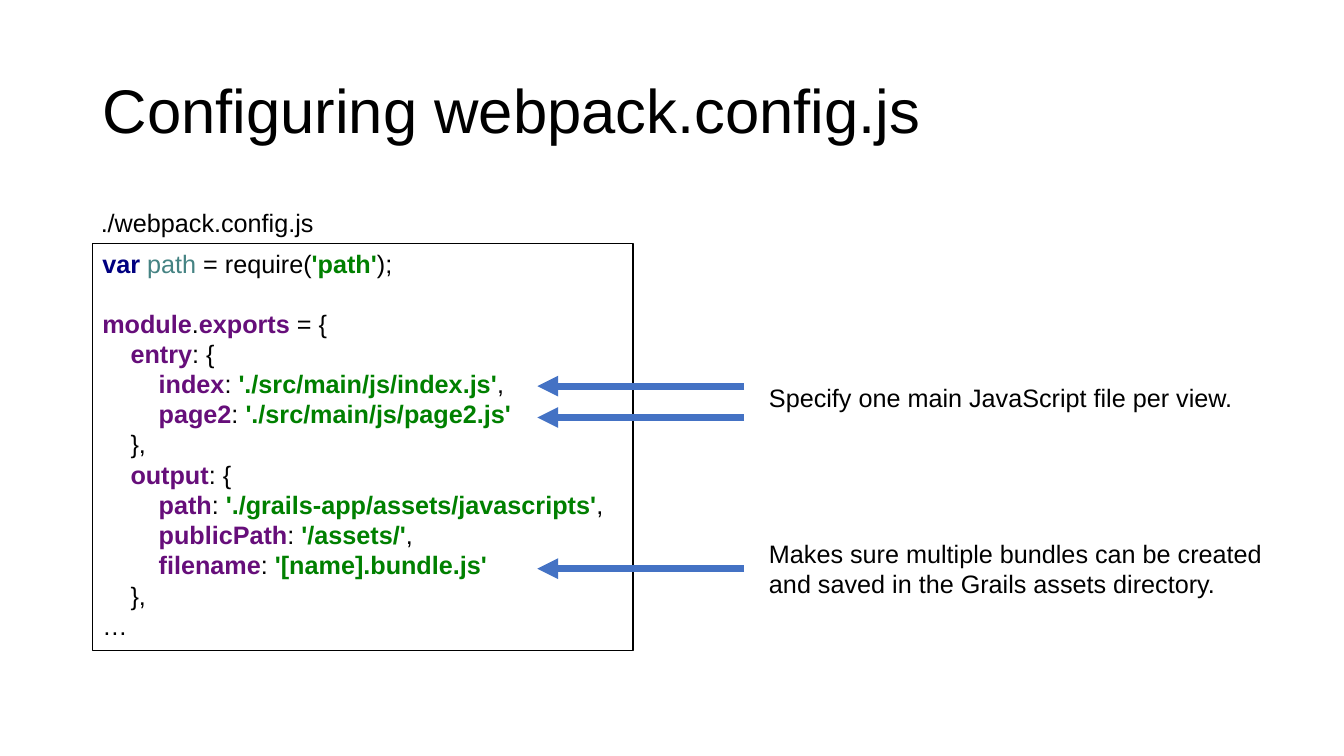
from lxml.etree import SubElement
from pptx import Presentation
from pptx.dml.color import RGBColor
from pptx.enum.shapes import MSO_CONNECTOR, MSO_SHAPE
from pptx.enum.text import MSO_ANCHOR, MSO_AUTO_SIZE, PP_ALIGN
from pptx.oxml.ns import qn
from pptx.util import Cm, Pt

BLACK, WHITE, BLUE = "000000", "FFFFFF", "4472C4"
TOKENS = {
    "plain": (BLACK, False),
    "keyword": ("000080", True),
    "variable": ("458383", False),
    "string": ("008000", True),
    "property": ("660E7A", True),
}


def entry(name, value, ending=""):
    return [("property", name), ("plain", ": "), ("string", value), ("plain", ending)]


def opening(name):
    return [("property", name), ("plain", ": {")]


CLOSING = [("plain", "},")]
CODE = [
    (0, [("keyword", "var "), ("variable", "path "), ("plain", "= require("),
         ("string", "'path'"), ("plain", ");")]),
    (0, [("property", "module"), ("plain", "."), ("property", "exports "), ("plain", "= {")]),
    (1, opening("entry")),
    (2, entry("index", "'./src/main/js/index.js'", ",")),
    (2, entry("page2", "'./src/main/js/page2.js'")),
    (1, CLOSING),
    (1, opening("output")),
    (2, entry("path", "'./grails-app/assets/javascripts'", ",")),
    (2, entry("publicPath", "'/assets/'", ",")),
    (2, entry("filename", "'[name].bundle.js'")),
    (1, CLOSING),
    (0, [("plain", "…")]),
]
GAP_LINE = 1


def colour(value):
    return RGBColor.from_string(value)


def apply(target, values):
    for name, value in values.items():
        setattr(target, name, value)


class Slide:
    font = "Arial"
    size = 18
    indent = 0.71
    line_height = 21

    def __init__(self, deck):
        self.page = deck.slides.add_slide(deck.slide_layouts[5])

    def span(self, para, text, size=size, token="plain"):
        ink, bold = TOKENS[token]
        span = para.add_run()
        span.text = text
        apply(span.font, {"name": self.font, "size": Pt(size), "bold": bold})
        span.font.color.rgb = colour(ink)

    def title(self, text, left, top, width, height):
        box = self.page.shapes.title
        apply(box, {"left": Cm(left), "top": Cm(top), "width": Cm(width), "height": Cm(height)})
        apply(box.text_frame, {"vertical_anchor": MSO_ANCHOR.MIDDLE, "word_wrap": True,
                               "auto_size": MSO_AUTO_SIZE.NONE})
        para = box.text_frame.paragraphs[0]
        apply(para, {"alignment": PP_ALIGN.LEFT, "line_spacing": 0.9})
        self.span(para, text, 44)

    def label(self, text, left, top, width, height, wrap=False):
        box = self.page.shapes.add_textbox(Cm(left), Cm(top), Cm(width), Cm(height))
        box.text_frame.word_wrap = wrap
        self.span(box.text_frame.paragraphs[0], text)

    def code(self, lines, left, top, width, height):
        box = self.page.shapes.add_shape(
            MSO_SHAPE.RECTANGLE, Cm(left), Cm(top), Cm(width), Cm(height))
        box.shadow.inherit = False
        box.fill.solid()
        box.fill.fore_color.rgb = colour(WHITE)
        box.line.color.rgb = colour(BLACK)
        box.line.width = Pt(1)
        frame = box.text_frame
        apply(frame, {"word_wrap": True, "vertical_anchor": MSO_ANCHOR.TOP})
        for number, (level, tokens) in enumerate(lines):
            para = frame.add_paragraph() if number else frame.paragraphs[0]
            para.alignment = PP_ALIGN.LEFT
            if number == GAP_LINE:
                para.space_before = Pt(self.line_height)
            para._p.get_or_add_pPr().set("marL", str(Cm(self.indent * level)))
            for token, text in tokens:
                if text:
                    self.span(para, text, token=token)

    def arrow(self, start, end, height):
        arrow = self.page.shapes.add_connector(
            MSO_CONNECTOR.STRAIGHT, Cm(start), Cm(height), Cm(end), Cm(height))
        arrow.line.color.rgb = colour(BLUE)
        arrow.line.width = Pt(5)
        SubElement(arrow.line._get_or_add_ln(), qn("a:tailEnd"), type="triangle")
        SubElement(arrow._element.spPr, qn("a:effectLst"))


def main():
    deck = Presentation()
    apply(deck, {"slide_width": Cm(33.87), "slide_height": Cm(19.05)})
    slide = Slide(deck)
    slide.title("Configuring webpack.config.js", 2.33, 1.01, 29.21, 3.68)
    slide.code(CODE, 2.33, 6.13, 13.62, 10.26)
    slide.label("./webpack.config.js", 2.29, 5.11, 5.92, 1.02)
    for height in (14.33, 10.52, 9.73):
        slide.arrow(18.75, 13.54, height)
    slide.label("Makes sure multiple bundles can be created and saved in the Grails assets directory.",
                19.13, 13.44, 13, 1.8, wrap=True)
    slide.label("Specify one main JavaScript file per view.", 19.13, 9.5, 12.47, 1.02)
    deck.save("out.pptx")


if __name__ == "__main__":
    main()
